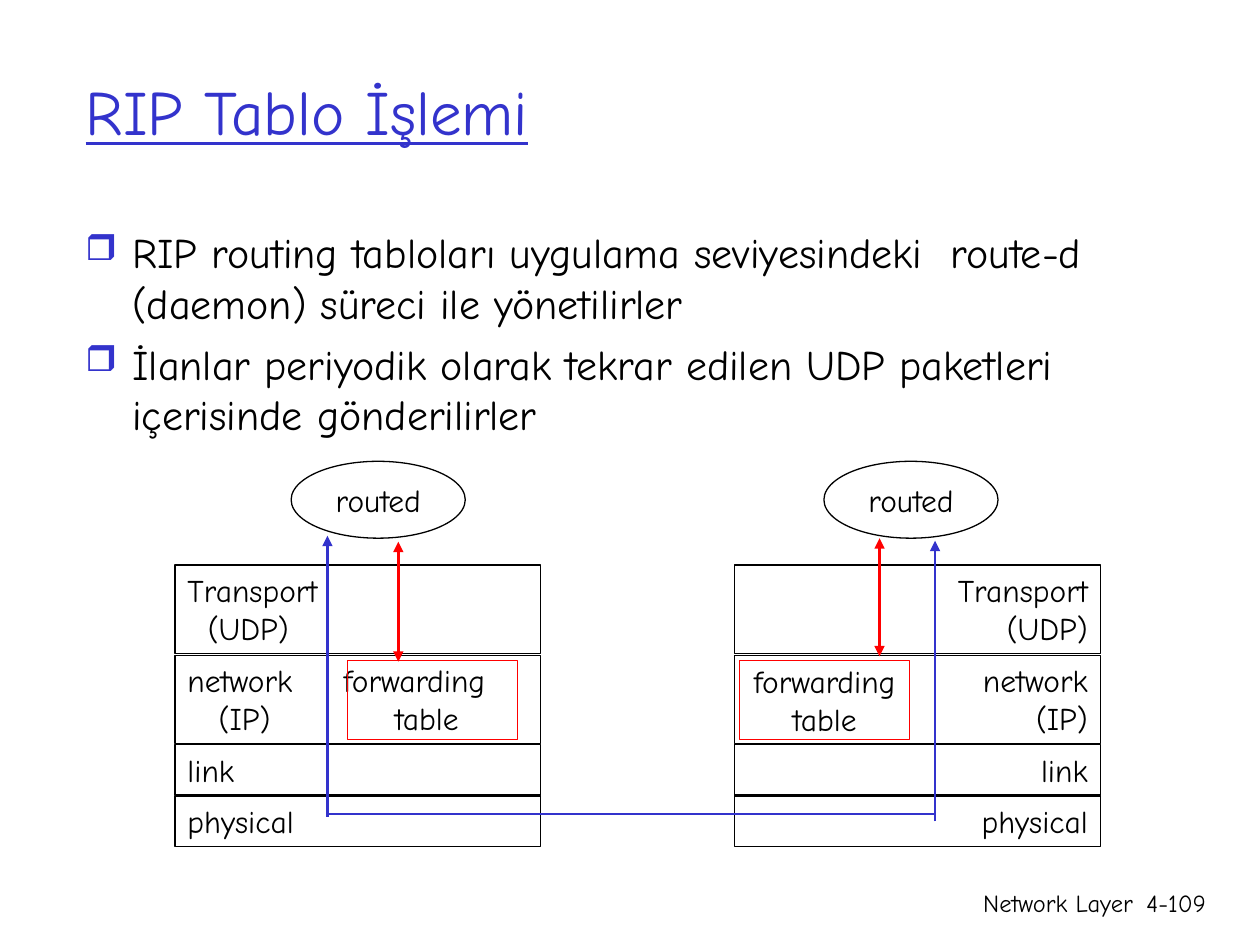
from lxml.etree import SubElement
from pptx import Presentation
from pptx.dml.color import RGBColor
from pptx.enum.shapes import MSO_CONNECTOR, MSO_SHAPE
from pptx.enum.text import MSO_ANCHOR, PP_ALIGN
from pptx.oxml.ns import qn
from pptx.util import Cm, Pt

BLACK = RGBColor(0, 0, 0)
BLUE = RGBColor(0x33, 0x33, 0xCC)
RED = RGBColor(0xFF, 0, 0)
FONT = "Comic Neue"

# Protocol layers: name, protocol, top and height in cm
LAYERS = [
    ("Transport", "(UDP)", 11.39, 1.78),
    ("network", "(IP)", 13.21, 1.78),
    ("link", None, 15.01, 1.02),
    ("physical", None, 16.05, 1.02),
]
STACK_WIDTH = 7.37
LEFT_STACK, RIGHT_STACK = 3.53, 14.81
TABLE_TOP, TABLE_SIZE = 13.31, (3.43, 1.6)


def add_child(parent, tag, **attributes):
    return SubElement(parent, qn(tag), attributes)


def set_tabs(paragraph, stops):
    tabs = add_child(paragraph._p.get_or_add_pPr(), "a:tabLst")
    for stop in stops:
        add_child(tabs, "a:tab", pos=str(Cm(stop)), algn="l")


def set_bullet(paragraph):
    properties = paragraph._p.get_or_add_pPr()
    properties.set("marL", str(Cm(0.95)))
    properties.set("indent", str(-Cm(0.95)))
    color = add_child(properties, "a:buClr")
    add_child(color, "a:srgbClr", val=str(BLUE))
    add_child(properties, "a:buSzPct", val="85000")
    add_child(properties, "a:buChar", char="❒")


def write_text(frame, lines, size, align=PP_ALIGN.LEFT, color=BLACK,
               anchor=MSO_ANCHOR.TOP, wrap=True, underline=False, tabs=()):
    """Write one paragraph per line; tabs holds the stops of each line."""
    frame.word_wrap = wrap
    frame.vertical_anchor = anchor
    font_format = {"name": FONT, "size": Pt(size), "underline": underline}
    for number, line in enumerate(lines):
        paragraph = frame.add_paragraph() if number else frame.paragraphs[0]
        paragraph.alignment = align
        if tabs:
            set_tabs(paragraph, tabs[number])
        run = paragraph.add_run()
        run.text = line
        for attribute, value in font_format.items():
            setattr(run.font, attribute, value)
        run.font.color.rgb = color


def add_text(slide, box, lines, size, **text_format):
    frame = slide.shapes.add_textbox(*map(Cm, box)).text_frame
    write_text(frame, lines, size, **text_format)
    return frame


def add_outline(slide, kind, box, color=BLACK, lines=(), **text_format):
    outline = slide.shapes.add_shape(kind, *map(Cm, box))
    outline.shadow.inherit = False
    outline.fill.background()
    outline.line.color.rgb = color
    outline.line.width = Pt(0.75)
    write_text(outline.text_frame, lines, 18, **text_format)


def add_path(slide, start, end, color, arrows=()):
    points = map(Cm, (*start, *end))
    path_line = slide.shapes.add_connector(MSO_CONNECTOR.STRAIGHT, *points)
    path_line.line.color.rgb = color
    path_line.line.width = Pt(1.5)
    for arrow in arrows:
        add_child(path_line.line._get_or_add_ln(), arrow, type="triangle")
    add_child(path_line._element.spPr, "a:effectLst")


def add_daemon(slide, left):
    add_outline(slide, MSO_SHAPE.OVAL, (left, 9.3, 3.51, 1.55),
                lines=["routed"], align=PP_ALIGN.CENTER,
                anchor=MSO_ANCHOR.MIDDLE, wrap=False)


def add_layer(slide, left, top, height, lines, **text_format):
    add_outline(slide, MSO_SHAPE.RECTANGLE, (left, top, STACK_WIDTH, height),
                lines=lines, **text_format)


def add_left_host(slide):
    # The forwarding table's label shares the network layer's lines
    table_words = {"network": ("\tforwarding", "\ttable")}
    stops = {"Transport": [[], [0.41]], "network": [[3.15], [0.63, 4.18]]}
    for name, protocol, top, height in LAYERS:
        first, second = table_words.get(name, ("", ""))
        lines = [name + first]
        if protocol:
            lines.append("\t" + protocol + second)
        add_layer(slide, LEFT_STACK, top, height, lines,
                  tabs=stops.get(name, ()))
    add_outline(slide, MSO_SHAPE.RECTANGLE, (7.01, TABLE_TOP, *TABLE_SIZE), RED)
    add_daemon(slide, 5.87)


def add_right_host(slide):
    for name, protocol, top, height in LAYERS:
        lines = [name, protocol] if protocol else [name]
        add_layer(slide, RIGHT_STACK, top, height, lines, align=PP_ALIGN.RIGHT)
    add_outline(slide, MSO_SHAPE.RECTANGLE, (14.91, TABLE_TOP, *TABLE_SIZE), RED,
                lines=["forwarding", "table"], align=PP_ALIGN.CENTER,
                anchor=MSO_ANCHOR.MIDDLE, wrap=False)
    add_daemon(slide, 16.61)


def add_title(slide, text):
    title = slide.shapes.title
    position = {"left": 1.47, "top": 0.64, "width": 21.59, "height": 3.18}
    for attribute, value in position.items():
        setattr(title, attribute, Cm(value))
    write_text(title.text_frame, [text], 36, color=BLUE,
               anchor=MSO_ANCHOR.MIDDLE, underline=True)


def add_points(slide, points):
    frame = add_text(slide, (1.47, 4.45, 21.59, 4.8), points, 24)
    for number, paragraph in enumerate(frame.paragraphs):
        set_bullet(paragraph)
        paragraph.space_before = Pt(6 if number else 0)


def main():
    deck = Presentation()
    deck.slide_width, deck.slide_height = Cm(25.4), Cm(19.05)
    slide = deck.slides.add_slide(deck.slide_layouts[5])

    add_title(slide, "RIP Tablo İşlemi")
    add_points(slide, [
        "RIP routing tabloları uygulama seviyesindeki  route-d (daemon) "
        "süreci ile yönetilirler",
        "İlanlar periyodik olarak tekrar edilen UDP paketleri içerisinde "
        "gönderilirler",
    ])

    # Protocol stacks
    add_left_host(slide)
    add_right_host(slide)

    # Advertisements between the two daemons
    add_path(slide, (6.6, 16.46), (6.6, 10.8), BLUE, ["a:tailEnd"])
    add_path(slide, (18.85, 16.56), (18.85, 10.9), BLUE, ["a:tailEnd"])
    add_path(slide, (6.6, 16.41), (18.87, 16.41), BLUE)

    # Daemons updating their forwarding tables
    both_ends = ["a:headEnd", "a:tailEnd"]
    add_path(slide, (8.03, 10.92), (8.03, 13.34), RED, both_ends)
    add_path(slide, (17.73, 10.85), (17.73, 13.23), RED, both_ends)

    # Footer
    add_text(slide, (15.04, 17.78, 8.05, 1.27), ["Network Layer"], 14,
             align=PP_ALIGN.RIGHT)
    add_text(slide, (22.68, 17.78, 1.88, 1.27), ["4-109"], 14,
             align=PP_ALIGN.RIGHT)

    deck.save("out.pptx")


if __name__ == "__main__":
    main()
